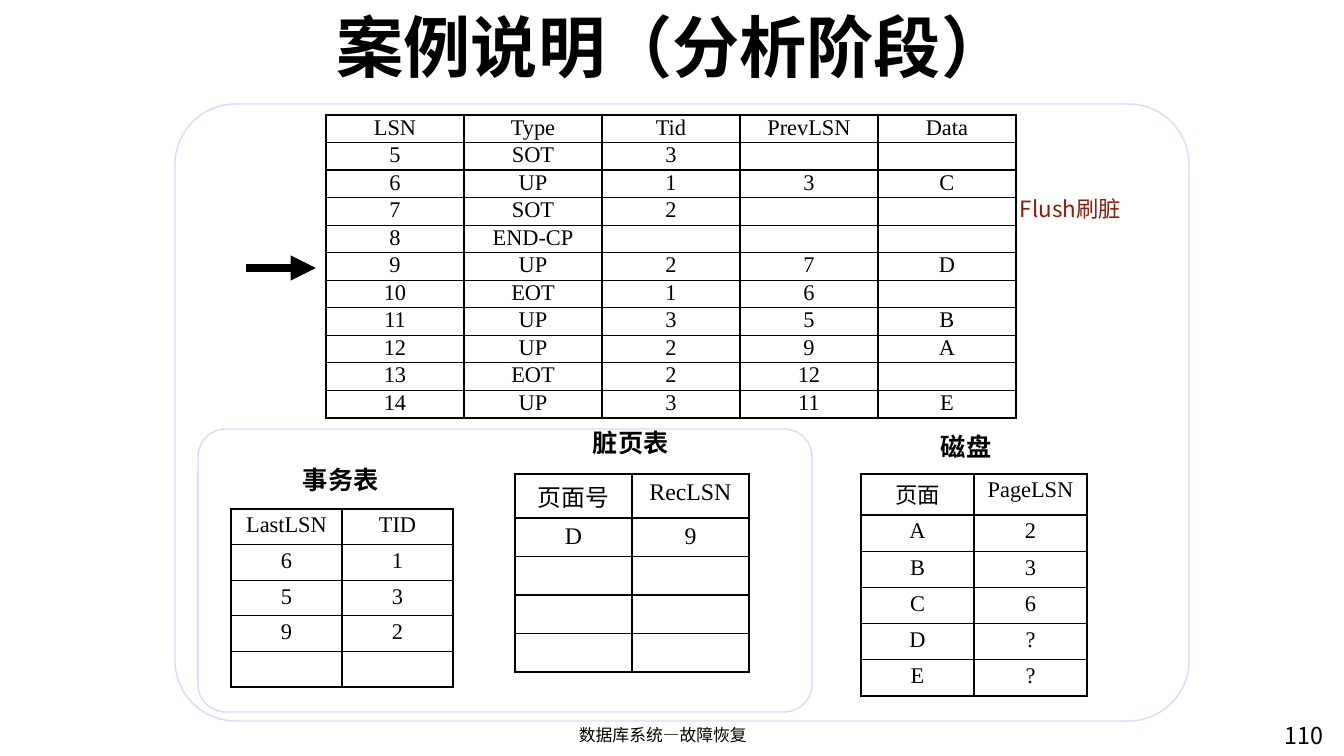
from dataclasses import dataclass

from lxml.etree import SubElement
from pptx import Presentation
from pptx.dml.color import RGBColor
from pptx.enum.shapes import MSO_CONNECTOR, MSO_SHAPE
from pptx.enum.text import MSO_ANCHOR, PP_ALIGN
from pptx.oxml.ns import qn
from pptx.util import Emu, Pt


@dataclass(frozen=True)
class Theme:
    """Colours, fonts and type sizes of the slide."""
    ink: str = "000000"
    paper: str = "FFFFFF"
    frame: str = "D9D9FF"
    alert: str = "861F10"
    cjk: str = "Noto Sans CJK SC"
    latin: str = "Times New Roman"
    title: float = 48
    caption: float = 18
    cell: float = 16
    page_table: float = 17
    number: float = 16.6
    footer: float = 12
    thin: float = 1
    thick: float = 2.25
    arrow: float = 6


THEME = Theme()
EMU_PER_PX = 914400 / 100.8

LOG_ROWS = [
    ("LSN", "Type", "Tid", "PrevLSN", "Data"),
    ("5", "SOT", "3", "", ""),
    ("6", "UP", "1", "3", "C"),
    ("7", "SOT", "2", "", ""),
    ("8", "END-CP", "", "", ""),
    ("9", "UP", "2", "7", "D"),
    ("10", "EOT", "1", "6", ""),
    ("11", "UP", "3", "5", "B"),
    ("12", "UP", "2", "9", "A"),
    ("13", "EOT", "2", "12", ""),
    ("14", "UP", "3", "11", "E"),
]
TRANSACTION_ROWS = [("LastLSN", "TID"), ("6", "1"), ("5", "3"), ("9", "2"), ("", "")]
DIRTY_PAGE_ROWS = [("页面号", "RecLSN"), ("D", "9"), ("", ""), ("", ""), ("", "")]
DISK_ROWS = [("页面", "PageLSN"), ("A", "2"), ("B", "3"), ("C", "6"), ("D", "?"), ("E", "?")]


def px(length):
    """Turn pixels into EMU."""
    return Emu(round(length * EMU_PER_PX))


def color(code):
    """Turn a hex code into a colour."""
    return RGBColor.from_string(code)


def write(para, text, *, size, font=THEME.cjk, ink=THEME.ink, bold=False,
          align=PP_ALIGN.LEFT, spacing=None):
    """Write formatted text into a paragraph."""
    para.alignment = align
    if spacing:
        para.line_spacing = spacing
    if not text:
        SubElement(para._p, qn("a:endParaRPr"), sz=str(round(size * 100)))
        return
    span = para.add_run()
    span.text = text
    span.font.name = font
    span.font.size = Pt(size)
    span.font.bold = bold
    span.font.color.rgb = color(ink)
    SubElement(span._r.get_or_add_rPr(), qn("a:ea"), typeface=font)


def add_text(page, bounds, text, *, wrap=True, anchor=MSO_ANCHOR.TOP, spacing=0.9, **style):
    """Add a one-paragraph text box."""
    box = page.shapes.add_textbox(*map(px, bounds))
    box.text_frame.word_wrap = wrap
    box.text_frame.vertical_anchor = anchor
    write(box.text_frame.paragraphs[0], text, spacing=spacing, **style)


def add_frame(page, bounds):
    """Add a rounded outline panel."""
    frame = page.shapes.add_shape(MSO_SHAPE.ROUNDED_RECTANGLE, *map(px, bounds))
    frame.adjustments[0] = 0.098
    frame.shadow.inherit = False
    frame.fill.solid()
    frame.fill.fore_color.rgb = color(THEME.paper)
    frame.line.color.rgb = color(THEME.frame)
    frame.line.width = Pt(THEME.thin)


def add_arrow(page, start, end):
    """Add a thick straight arrow."""
    arrow = page.shapes.add_connector(MSO_CONNECTOR.STRAIGHT, *map(px, start + end))
    arrow.line.color.rgb = color(THEME.ink)
    arrow.line.width = Pt(THEME.arrow)
    SubElement(arrow.line._get_or_add_ln(), qn("a:tailEnd"), type="triangle")
    SubElement(arrow._element.spPr, qn("a:effectLst"))


def set_borders(cell, outer_sides):
    """Draw cell borders, thick on the outer sides."""
    properties = cell._tc.get_or_add_tcPr()
    for index, side in enumerate("LRTB"):
        width = THEME.thick if side in outer_sides else THEME.thin
        line = SubElement(properties, qn(f"a:ln{side}"), w=str(Pt(width)))
        fill = SubElement(line, qn("a:solidFill"))
        SubElement(fill, qn("a:srgbClr"), val=THEME.ink)
        properties.remove(line)
        properties.insert(index, line)


def add_grid(page, bounds, rows, *, header=None, size=THEME.cell, inset=(9, 4)):
    """Add a ruled table, with an optional taller header row."""
    left, top, width, height = bounds
    row_total, column_total = len(rows), len(rows[0])
    table = page.shapes.add_table(row_total, column_total, *map(px, bounds)).table
    for column in table.columns:
        column.width = px(width / column_total)
    for index, row in enumerate(table.rows):
        if header is None:
            row.height = px(height / row_total)
        else:
            row.height = px((height - header) / (row_total - 1) if index else header)
    for y, values in enumerate(rows):
        for x, text in enumerate(values):
            cell = table.cell(y, x)
            cell.margin_left = cell.margin_right = px(inset[0])
            cell.margin_top = cell.margin_bottom = px(inset[1])
            cell.fill.solid()
            cell.fill.fore_color.rgb = color(THEME.paper)
            edges = {"L": x == 0, "R": x == column_total - 1,
                     "T": y == 0, "B": y == row_total - 1}
            set_borders(cell, [side for side, outer in edges.items() if outer])
            write(cell.text_frame.paragraphs[0], text, size=size, align=PP_ALIGN.CENTER,
                  font=THEME.latin if text.isascii() else THEME.cjk)


def main():
    """Build the analysis-phase slide."""
    deck = Presentation()
    deck.slide_width, deck.slide_height = px(1344), px(756)
    page = deck.slides.add_slide(deck.slide_layouts[6])

    add_frame(page, (175, 104, 1014, 617))
    add_frame(page, (198, 429, 614, 283))
    add_text(page, (1275, 719, 85, 52), "110", size=THEME.number)
    add_text(page, (116, 12, 1113, 75), "案例说明（分析阶段）", size=THEME.title, bold=True,
             align=PP_ALIGN.CENTER, anchor=MSO_ANCHOR.MIDDLE, spacing=0.95)
    add_text(page, (451, 722, 424, 34), "数据库系统—故障恢复", size=THEME.footer,
             align=PP_ALIGN.CENTER)
    add_arrow(page, (246, 268), (316, 268))

    add_grid(page, (326, 115, 690, 303), LOG_ROWS, inset=(5, 0))
    add_grid(page, (231, 509, 222, 178), TRANSACTION_ROWS)
    add_grid(page, (515, 474, 234, 194), DIRTY_PAGE_ROWS, header=44,
             size=THEME.page_table, inset=(9, 5))
    add_grid(page, (861, 474, 226, 222), DISK_ROWS, header=41)

    for left, top, width, caption in ((293, 463, 97, "事务表"), (583, 426, 97, "脏页表"),
                                      (931, 430, 84, "磁盘")):
        add_text(page, (left, top, width, 40), caption, size=THEME.caption, bold=True, wrap=False)
    add_text(page, (1010, 195, 122, 37), "Flush刷脏", size=THEME.cell, ink=THEME.alert,
             spacing=0.83)
    deck.save("out.pptx")


if __name__ == "__main__":
    main()
